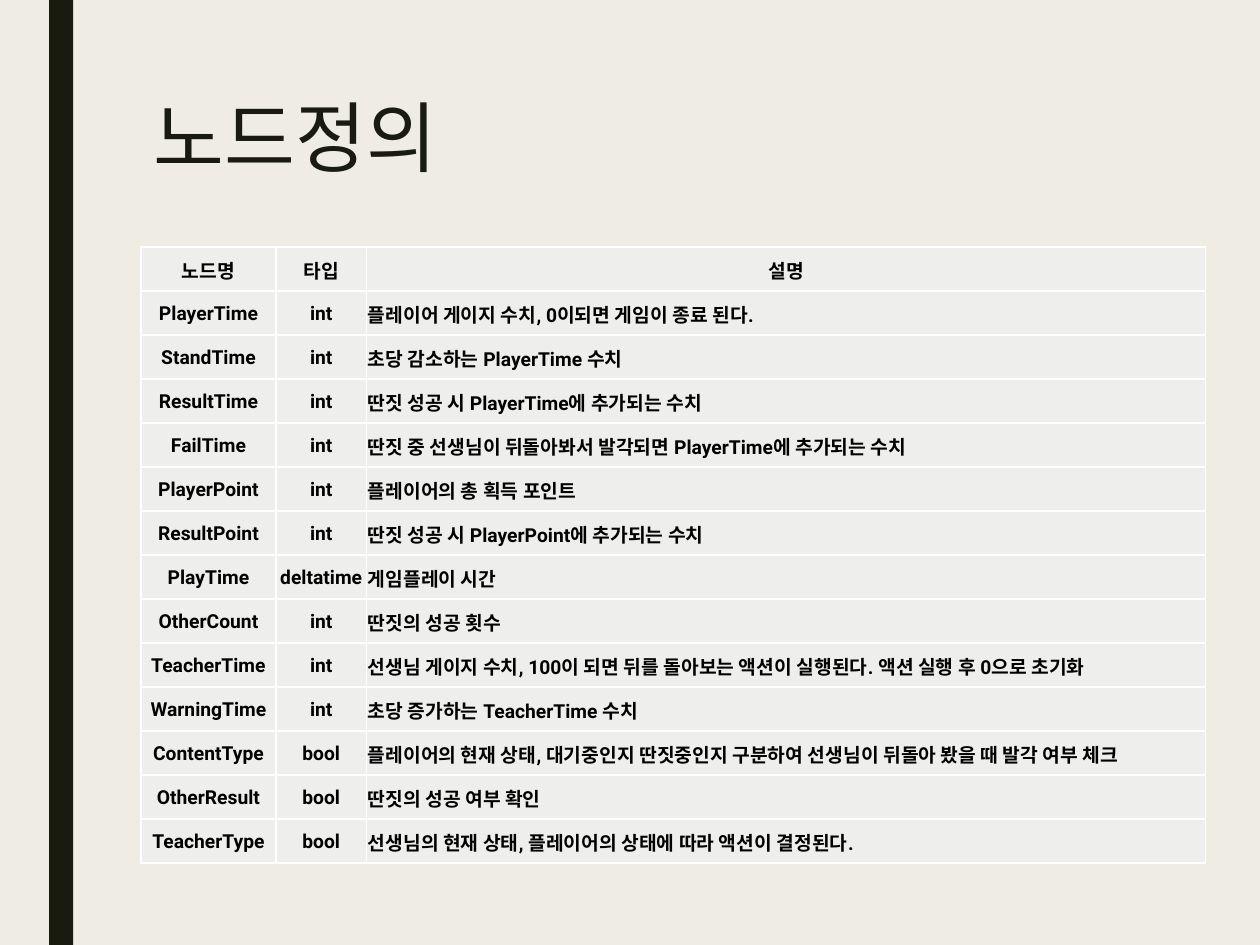
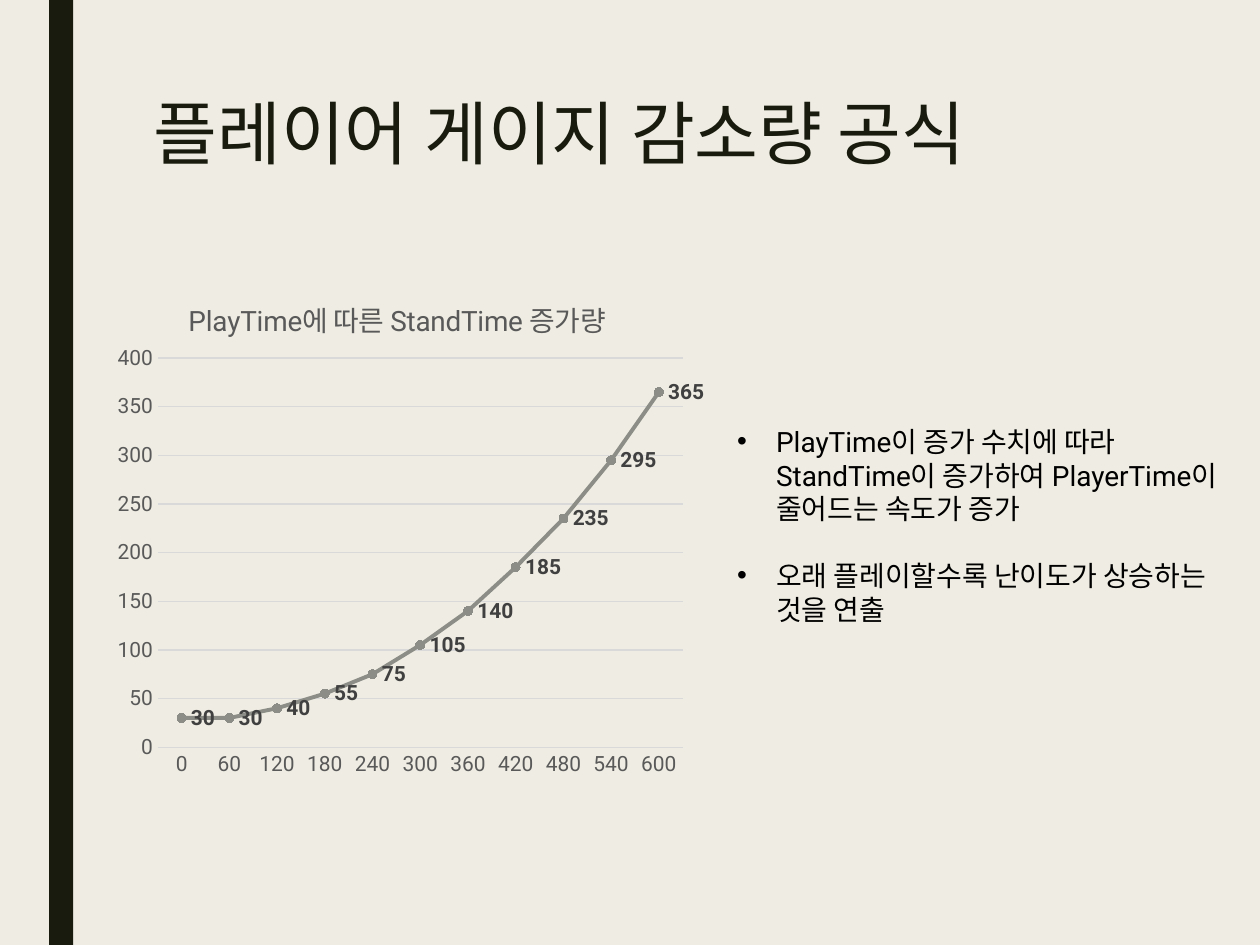
from typing import Any, NamedTuple

from lxml import etree
from pptx import Presentation
from pptx.chart.data import CategoryChartData
from pptx.dml.color import RGBColor
from pptx.enum import chart as chart_enum
from pptx.enum import shapes, text
from pptx.oxml import ns
from pptx.util import Inches, Pt

BACKGROUND = RGBColor(0xEF, 0xED, 0xE3)
DARK = RGBColor(0x19, 0x1B, 0x0E)
BLACK = RGBColor(0x00, 0x00, 0x00)
WHITE = RGBColor(0xFF, 0xFF, 0xFF)
CELL_FILL = RGBColor(0xEE, 0xEE, 0xED)
AXIS_TEXT = RGBColor(0x59, 0x59, 0x59)
LABEL_TEXT = RGBColor(0x40, 0x40, 0x40)
GRID = RGBColor(0xD9, 0xD9, 0xD9)
SERIES = RGBColor(0x8C, 0x8D, 0x86)
FONT = "Roboto"


class Box(NamedTuple):
    left: float
    top: float
    width: float
    height: float


class Node(NamedTuple):
    name: str
    kind: str
    description: str


TABLE_BOX = Box(1.12, 1.96, 8.46, 4.89)
COLUMN_WIDTHS = (1.07, 0.72, 6.66)
NODES = [
    Node("노드명", "타입", "설명"),
    Node("PlayerTime", "int", "플레이어 게이지 수치, 0이되면 게임이 종료 된다."),
    Node("StandTime", "int", "초당 감소하는 PlayerTime 수치"),
    Node("ResultTime", "int", "딴짓 성공 시 PlayerTime에 추가되는 수치"),
    Node("FailTime", "int", "딴짓 중 선생님이 뒤돌아봐서 발각되면 PlayerTime에 추가되는 수치"),
    Node("PlayerPoint", "int", "플레이어의 총 획득 포인트"),
    Node("ResultPoint", "int", "딴짓 성공 시 PlayerPoint에 추가되는 수치"),
    Node("PlayTime", "deltatime", "게임플레이 시간"),
    Node("OtherCount", "int", "딴짓의 성공 횟수"),
    Node("TeacherTime", "int",
         "선생님 게이지 수치, 100이 되면 뒤를 돌아보는 액션이 실행된다. 액션 실행 후 0으로 초기화"),
    Node("WarningTime", "int", "초당 증가하는 TeacherTime 수치"),
    Node("ContentType", "bool",
         "플레이어의 현재 상태, 대기중인지 딴짓중인지 구분하여 선생님이 뒤돌아 봤을 때 발각 여부 체크"),
    Node("OtherResult", "bool", "딴짓의 성공 여부 확인"),
    Node("TeacherType", "bool", "선생님의 현재 상태, 플레이어의 상태에 따라 액션이 결정된다."),
]

STAND_TIMES = (30, 30, 40, 55, 75, 105, 140, 185, 235, 295, 365)
SECONDS_PER_STEP = 60
NOTES = (
    "PlayTime이 증가 수치에 따라 StandTime이 증가하여 PlayerTime이 줄어드는 속도가 증가",
    "오래 플레이할수록 난이도가 상승하는 것을 연출",
)


def apply(target: Any, values: dict[str, Any]) -> None:
    for name, value in values.items():
        setattr(target, name, value)


def style_font(font: Any, size: float, color: RGBColor, bold: bool = False) -> None:
    apply(font, {"name": FONT, "size": Pt(size), "bold": bold})
    font.color.rgb = color


def style_line(line: Any, color: RGBColor, width: float) -> None:
    line.color.rgb = color
    line.width = Pt(width)


def place(shape: Any, box: Box) -> None:
    apply(shape, {side: Inches(value) for side, value in box._asdict().items()})


def add_slide(presentation: Any, layout_index: int, title: str, title_box: Box,
              title_size: float) -> Any:
    """Add a slide with the dark side band and a formatted title."""
    slide = presentation.slides.add_slide(presentation.slide_layouts[layout_index])
    band = slide.shapes.add_shape(shapes.MSO_SHAPE.RECTANGLE, Inches(0.39), 0,
                                  Inches(0.19), presentation.slide_height)
    band.shadow.inherit = False
    band.fill.solid()
    band.fill.fore_color.rgb = DARK
    band.line.fill.background()

    place(slide.shapes.title, title_box)
    frame = slide.shapes.title.text_frame
    apply(frame, {"text": title, "word_wrap": True,
                  "auto_size": text.MSO_AUTO_SIZE.NONE,
                  "vertical_anchor": text.MSO_ANCHOR.TOP})
    paragraph = frame.paragraphs[0]
    apply(paragraph, {"alignment": text.PP_ALIGN.LEFT, "line_spacing": 0.89})
    style_font(paragraph.runs[0].font, title_size, DARK)
    return slide


def add_borders(cell: Any) -> None:
    properties = cell._tc.get_or_add_tcPr()
    for side in ("lnL", "lnR", "lnT", "lnB"):
        line = etree.SubElement(properties, ns.qn(f"a:{side}"), w=str(Pt(1)))
        fill = etree.SubElement(line, ns.qn("a:solidFill"))
        etree.SubElement(fill, ns.qn("a:srgbClr"), val=str(WHITE))


def fill_cell(cell: Any, content: str, alignment: Any) -> None:
    apply(cell, {"text": content, "vertical_anchor": text.MSO_ANCHOR.MIDDLE,
                 "margin_left": Inches(0.01), "margin_right": Inches(0.01),
                 "margin_top": Inches(0.01), "margin_bottom": 0})
    add_borders(cell)
    cell.fill.solid()
    cell.fill.fore_color.rgb = CELL_FILL
    paragraph = cell.text_frame.paragraphs[0]
    paragraph.alignment = alignment
    style_font(paragraph.runs[0].font, 11, BLACK, bold=True)


def add_node_table(slide: Any) -> None:
    table = slide.shapes.add_table(len(NODES), len(COLUMN_WIDTHS),
                                   *map(Inches, TABLE_BOX)).table
    apply(table, {"first_row": False, "horz_banding": False})
    for column, width in zip(table.columns, COLUMN_WIDTHS):
        column.width = Inches(width)
    for row_index, node in enumerate(NODES):
        table.rows[row_index].height = Inches(TABLE_BOX.height / len(NODES))
        for column_index, content in enumerate(node):
            is_description = row_index > 0 and column_index == 2
            alignment = text.PP_ALIGN.LEFT if is_description else text.PP_ALIGN.CENTER
            fill_cell(table.cell(row_index, column_index), content, alignment)


def set_layout(element: Any, index: int, **values: Any) -> None:
    """Give a chart part a manual layout, as child number index."""
    for old_layout in element.findall(ns.qn("c:layout")):
        element.remove(old_layout)
    layout = etree.Element(ns.qn("c:layout"))
    element.insert(index, layout)
    manual = etree.SubElement(layout, ns.qn("c:manualLayout"))
    for name, value in values.items():
        etree.SubElement(manual, ns.qn(f"c:{name}"), val=str(value))


def style_axes(chart: Any) -> None:
    for axis in (chart.category_axis, chart.value_axis):
        apply(axis, {"major_tick_mark": chart_enum.XL_TICK_MARK.NONE,
                     "minor_tick_mark": chart_enum.XL_TICK_MARK.NONE})
        style_font(axis.tick_labels.font, 12, AXIS_TEXT)
    style_line(chart.category_axis.format.line, GRID, 0.75)
    value_axis = chart.value_axis
    apply(value_axis, {"minimum_scale": 0, "maximum_scale": 400, "major_unit": 50})
    value_axis.format.line.fill.background()
    style_line(value_axis.major_gridlines.format.line, GRID, 0.75)


def style_series(series: Any) -> None:
    series.smooth = False
    style_line(series.format.line, SERIES, 2.25)
    marker = series.marker
    apply(marker, {"style": chart_enum.XL_MARKER_STYLE.CIRCLE, "size": 5})
    marker.format.fill.solid()
    marker.format.fill.fore_color.rgb = SERIES
    marker.format.line.color.rgb = SERIES
    labels = series.data_labels
    apply(labels, {"show_value": True,
                   "position": chart_enum.XL_LABEL_POSITION.RIGHT})
    style_font(labels.font, 12, LABEL_TEXT, bold=True)


def add_stand_time_chart(slide: Any) -> None:
    data = CategoryChartData()
    data.categories = [str(step * SECONDS_PER_STEP) for step in range(len(STAND_TIMES))]
    data.add_series("Series 1", STAND_TIMES)
    chart = slide.shapes.add_chart(chart_enum.XL_CHART_TYPE.LINE_MARKERS,
                                   *map(Inches, Box(0.84, 2.11, 4.75, 4.14)), data).chart
    chart.has_legend = False
    style_font(chart.font, 10, BLACK)
    chart.plots[0].vary_by_categories = False

    title = chart.chart_title
    title.text_frame.text = "PlayTime에 따른 StandTime 증가량"
    style_font(title.text_frame.paragraphs[0].runs[0].font, 16, AXIS_TEXT)
    set_layout(title._element, 1, xMode="edge", yMode="edge", x=0.13, y=0.05)
    set_layout(chart.plots[0]._element.getparent(), 0, layoutTarget="inner",
               xMode="edge", yMode="edge", x=0.087, y=0.177, w=0.88, h=0.746)
    style_axes(chart)
    style_series(chart.series[0])


def add_notes_list(slide: Any) -> None:
    body = slide.placeholders[1]
    place(body, Box(5.75, 3.32, 4.15, 1.72))
    frame = body.text_frame
    apply(frame, {"text": "\n".join(NOTES), "word_wrap": True,
                  "auto_size": text.MSO_AUTO_SIZE.NONE,
                  "vertical_anchor": text.MSO_ANCHOR.TOP})
    for paragraph in frame.paragraphs:
        apply(paragraph, {"space_before": Pt(0), "space_after": Pt(19)})
        properties = paragraph._p.get_or_add_pPr()
        properties.set("marL", str(Inches(0.31)))
        properties.set("indent", str(Inches(-0.31)))
        style_font(paragraph.runs[0].font, 16, BLACK)


def main() -> None:
    presentation = Presentation()
    apply(presentation, {"slide_width": Inches(10), "slide_height": Inches(7.5)})
    background = presentation.slide_master.background.fill
    background.solid()
    background.fore_color.rgb = BACKGROUND

    node_slide = add_slide(presentation, 5, "노드정의", Box(1.12, 0.75, 7.88, 1.62), 44)
    add_node_table(node_slide)

    formula_slide = add_slide(presentation, 1, "플레이어 게이지 감소량 공식",
                              Box(1.12, 0.75, 7.88, 0.75), 39.6)
    add_stand_time_chart(formula_slide)
    add_notes_list(formula_slide)
    presentation.save("out.pptx")


if __name__ == "__main__":
    main()
